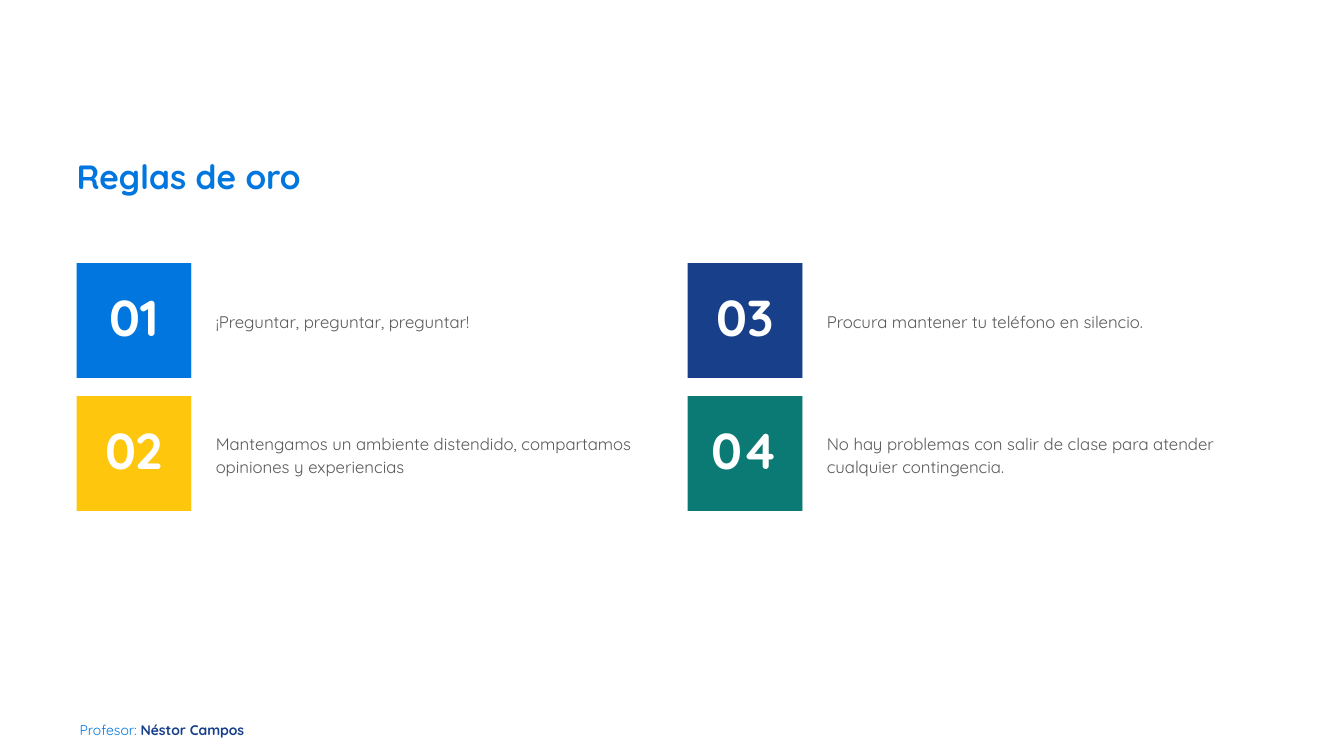
"""Build the golden rules slide: a title, four numbered rules and a footer."""
from dataclasses import dataclass

from pptx import Presentation, util as u
from pptx.dml.color import RGBColor
from pptx.enum import shapes, text


@dataclass(frozen=True)
class Theme:
    font: str = "Quicksand"
    blue: str = "0176DE"
    navy: str = "173F8A"
    yellow: str = "FEC60D"
    teal: str = "0B7A75"
    white: str = "FFFFFF"
    gray: str = "595959"
    title_size: int = 24
    number_size: int = 36
    rule_size: int = 12
    footer_size: int = 10


@dataclass(frozen=True)
class Grid:
    left: float = 0.76
    top: float = 2.61
    column_step: float = 6.06
    row_step: float = 1.32
    tile: float = 1.14
    rule_width: float = 4.61


@dataclass(frozen=True)
class Rule:
    column: int
    row: int
    number: str
    wording: str
    color: str


@dataclass(frozen=True)
class Span:
    wording: str
    color: str
    bold: bool = False


THEME = Theme()
GRID = Grid()
RULES = [
    Rule(0, 0, "01", "¡Preguntar, preguntar, preguntar!", THEME.blue),
    Rule(1, 0, "03", "Procura mantener tu teléfono en silencio.", THEME.navy),
    Rule(0, 1, "02", "Mantengamos un ambiente distendido, compartamos "
         "opiniones y experiencias", THEME.yellow),
    Rule(1, 1, "04", "No hay problemas con salir de clase para atender "
         "cualquier contingencia.", THEME.teal),
]


def write(box, spans: list[Span], size: int, spacing: float,
          inset: tuple[float, float] = (0, 0),
          align=text.PP_ALIGN.LEFT, anchor=text.MSO_ANCHOR.TOP) -> None:
    """Write one paragraph of spans into a box."""
    frame = box.text_frame
    frame.word_wrap = True
    frame.vertical_anchor = anchor
    frame.margin_left = frame.margin_right = u.Inches(inset[0])
    frame.margin_top = frame.margin_bottom = u.Inches(inset[1])
    para = frame.paragraphs[0]
    para.alignment = align
    para.line_spacing = spacing
    para.font.name = THEME.font
    para.font.size = u.Pt(size)
    for span in spans:
        run = para.add_run()
        run.text = span.wording
        run.font.bold = span.bold
        run.font.color.rgb = RGBColor.from_string(span.color)


def add_text(page, left: float, top: float, width: float, height: float):
    """Add an empty text box measured in inches."""
    return page.shapes.add_textbox(*map(u.Inches, (left, top, width, height)))


def add_block(page, left: float, top: float, width: float, color: str):
    """Add a plain filled rectangle as tall as a tile."""
    block = page.shapes.add_shape(
        shapes.MSO_SHAPE.RECTANGLE,
        *map(u.Inches, (left, top, width, GRID.tile)))
    block.shadow.inherit = False
    block.fill.solid()
    block.fill.fore_color.rgb = RGBColor.from_string(color)
    block.line.fill.background()
    return block


def draw_rule(page, rule: Rule) -> None:
    """Draw a numbered tile with its rule beside it."""
    left = GRID.left + rule.column * GRID.column_step
    top = GRID.top + rule.row * GRID.row_step
    tile = add_block(page, left, top, GRID.tile, rule.color)
    write(tile, [Span(rule.number, THEME.white, True)], THEME.number_size, 0.9,
          (0.1, 0.05), text.PP_ALIGN.CENTER, text.MSO_ANCHOR.MIDDLE)
    panel = add_block(page, left + GRID.tile, top, GRID.rule_width, THEME.white)
    write(panel, [Span(rule.wording, THEME.gray)], THEME.rule_size, 1.17,
          (0.24, 0.24), anchor=text.MSO_ANCHOR.MIDDLE)


def main() -> None:
    """Build and save the deck."""
    deck = Presentation()
    deck.slide_width, deck.slide_height = u.Inches(13.33), u.Inches(7.5)
    page = deck.slides.add_slide(deck.slide_layouts[6])

    footer = add_text(page, 0.79, 6.96, 2, 0.26)
    write(footer, [Span("Profesor: ", THEME.blue),
                   Span("Néstor Campos", THEME.navy, True)],
          THEME.footer_size, 2.2)
    footer.text_frame.auto_size = text.MSO_AUTO_SIZE.SHAPE_TO_FIT_TEXT

    title = add_text(page, GRID.left, 1.5, 10.04, 0.68)
    write(title, [Span("Reglas de oro", THEME.blue, True)],
          THEME.title_size, 1.12)

    for rule in RULES:
        draw_rule(page, rule)
    deck.save("out.pptx")


if __name__ == "__main__":
    main()
